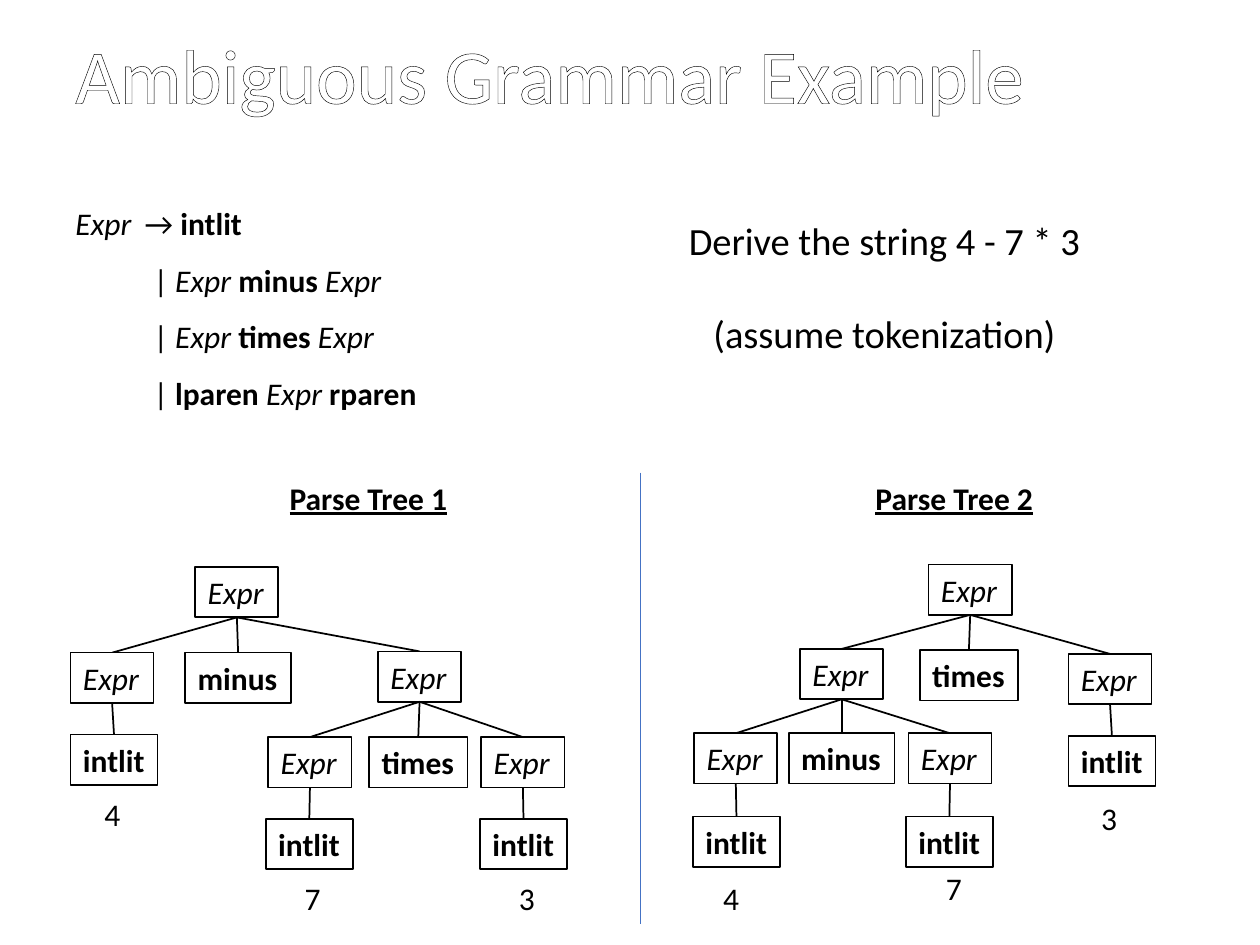
import dataclasses

import lxml.etree
import pptx
import pptx.dml.color
import pptx.enum.shapes
import pptx.enum.text
import pptx.oxml
import pptx.oxml.ns
import pptx.util

Inches = pptx.util.Inches
Pt = pptx.util.Pt
qn = pptx.oxml.ns.qn
ALIGN = pptx.enum.text.PP_ALIGN
ANCHOR = pptx.enum.text.MSO_ANCHOR
AUTO_SIZE = pptx.enum.text.MSO_AUTO_SIZE


@dataclasses.dataclass(frozen=True)
class Theme:
    """Colours, font and type sizes of the slide."""

    font: str = "Calibri"
    ink: str = "000000"
    paper: str = "FFFFFF"
    divider: str = "4472C4"
    title: int = 44
    prompt: int = 22
    body: int = 18


THEME = Theme()
NODE_WIDTHS = {"Expr": 0.66, "minus": 0.84, "times": 0.78, "intlit": 0.69}
ROW_HEIGHT = 0.4

# A tree node is (label, left, top, children).
LEFT_TREE = ("Expr", 1.55, 4.5, [
    ("Expr", 0.56, 5.18, [("intlit", 0.56, 5.83, [])]),
    ("minus", 1.47, 5.18, []),
    ("Expr", 3, 5.17, [
        ("Expr", 2.13, 5.85, [("intlit", 2.11, 6.5, [])]),
        ("times", 2.93, 5.85, []),
        ("Expr", 3.82, 5.85, [("intlit", 3.81, 6.5, [])]),
    ]),
])
RIGHT_TREE = ("Expr", 7.37, 4.48, [
    ("Expr", 6.35, 5.15, [
        ("Expr", 5.51, 5.82, [("intlit", 5.5, 6.48, [])]),
        ("minus", 6.26, 5.82, []),
        ("Expr", 7.21, 5.82, [("intlit", 7.19, 6.48, [])]),
    ]),
    ("times", 7.3, 5.16, []),
    ("Expr", 8.48, 5.19, [("intlit", 8.48, 5.84, [])]),
])
LEAF_VALUES = [
    ("4", 0.73, 6.26), ("7", 2.32, 6.93), ("3", 4.02, 6.93),
    ("4", 5.64, 6.93), ("7", 7.41, 6.85), ("3", 8.64, 6.29),
]
GRAMMAR = [
    ["Expr", "\t→ ", "intlit"],
    ["| ", "Expr ", "minus ", "Expr"],
    ["| ", "Expr ", "times ", "Expr"],
    ["| ", "lparen ", "Expr ", "rparen"],
]


def rgb(value):
    """Turn a hex string into a colour."""
    return pptx.dml.color.RGBColor.from_string(value)


def style_span(span, size=THEME.body, color=THEME.ink, bold=False, italic=False):
    """Format one run."""
    span.font.name = THEME.font
    span.font.size = Pt(size)
    span.font.color.rgb = rgb(color)
    span.font.bold = bold
    span.font.italic = italic


def style_symbol(span):
    """Format a grammar symbol: nonterminals italic, terminals bold."""
    word = span.text.strip()
    style_span(span, bold=word.isalpha() and word != "Expr", italic=word == "Expr")


def add_text(page, text, left, top, width, height=ROW_HEIGHT, wrap=False, **style):
    """Add a text box whose lines share one style."""
    box = page.shapes.add_textbox(
        Inches(left), Inches(top), Inches(width), Inches(height))
    frame = box.text_frame
    frame.word_wrap = wrap
    frame.auto_size = AUTO_SIZE.SHAPE_TO_FIT_TEXT
    frame.text = text
    for para in frame.paragraphs:
        for span in para.runs:
            style_span(span, **style)
    return box


def add_title(page, text):
    """Add the outlined title."""
    box = add_text(page, text, 0.5, 0, 9, 1.25, wrap=True,
                   size=THEME.title, color=THEME.paper)
    frame = box.text_frame
    frame.auto_size = AUTO_SIZE.NONE
    box.height = Inches(1.25)
    frame.vertical_anchor = ANCHOR.MIDDLE
    para = frame.paragraphs[0]
    para.line_spacing = 0.9
    outline = pptx.oxml.parse_xml(
        '<a:ln xmlns:a="http://schemas.openxmlformats.org/drawingml/2006/main" '
        f'w="{Pt(1)}"><a:solidFill><a:srgbClr val="{THEME.ink}"/>'
        '</a:solidFill></a:ln>')
    para.runs[0].font._element.insert(0, outline)


def add_grammar(page):
    """Add the production rules, with the alternatives indented."""
    box = add_text(page, "", 0.5, 1.42, 3.25, 1.92, wrap=True)
    frame = box.text_frame
    for index, symbols in enumerate(GRAMMAR):
        para = frame.add_paragraph() if index else frame.paragraphs[0]
        para.line_spacing = 1.5
        for symbol in symbols:
            span = para.add_run()
            span.text = symbol
            style_symbol(span)
        properties = para._p.get_or_add_pPr()
        if index:
            properties.set("marL", str(Inches(0.62)))
            properties.set("indent", "0")
        else:
            stops = lxml.etree.SubElement(properties, qn("a:tabLst"))
            lxml.etree.SubElement(
                stops, qn("a:tab"), pos=str(Inches(0.55)), algn="l")


def add_prompt(page):
    """Add the centred task statement."""
    box = add_text(page, "Derive the string 4 - 7 * 3\n(assume tokenization)",
                   5.35, 1.67, 3.34, 1.21, size=THEME.prompt)
    for para in box.text_frame.paragraphs:
        para.alignment = ALIGN.CENTER
    box.text_frame.paragraphs[0].space_after = Pt(27)


def add_line(page, start, end, color=THEME.ink, weight=1):
    """Add a straight line without a shadow."""
    line = page.shapes.add_connector(
        pptx.enum.shapes.MSO_CONNECTOR.STRAIGHT,
        *(Inches(value) for value in (*start, *end)))
    line.line.color.rgb = rgb(color)
    line.line.width = Pt(weight)
    lxml.etree.SubElement(line._element.spPr, qn("a:effectLst"))
    return line


def add_node(page, label, left, top):
    """Add one boxed grammar symbol."""
    box = page.shapes.add_shape(
        pptx.enum.shapes.MSO_SHAPE.RECTANGLE, Inches(left), Inches(top),
        Inches(NODE_WIDTHS[label]), Inches(ROW_HEIGHT))
    box.shadow.inherit = False
    box.fill.solid()
    box.fill.fore_color.rgb = rgb(THEME.paper)
    box.line.color.rgb = rgb(THEME.ink)
    box.line.width = Pt(1)
    frame = box.text_frame
    frame.word_wrap = False
    frame.auto_size = AUTO_SIZE.SHAPE_TO_FIT_TEXT
    frame.vertical_anchor = ANCHOR.TOP
    frame.text = label
    frame.paragraphs[0].alignment = ALIGN.LEFT
    style_symbol(frame.paragraphs[0].runs[0])
    return box


def add_tree(page, tree):
    """Add a parse tree, joining each parent's base to its children's tops."""
    label, left, top, children = tree
    parent = add_node(page, label, left, top)
    for child in children:
        branch = add_line(page, (left, top), (child[1], child[2]))
        branch.begin_connect(parent, 2)
        branch.end_connect(add_tree(page, child), 0)
    return parent


def main():
    """Build the slide and save it."""
    deck = pptx.Presentation()
    deck.slide_width, deck.slide_height = Inches(10), Inches(7.5)
    page = deck.slides.add_slide(deck.slide_layouts[6])
    add_title(page, "Ambiguous Grammar Example")
    add_grammar(page)
    add_prompt(page)
    add_line(page, (5.08, 3.75), (5.08, 7.33), THEME.divider, 0.5)
    for number, left, tree in ((1, 2.2, LEFT_TREE), (2, 6.85, RIGHT_TREE)):
        heading = add_text(page, f"Parse Tree {number}", left, 3.75, 1.46, bold=True)
        heading.text_frame.paragraphs[0].runs[0].font.underline = True
        add_tree(page, tree)
    for value, left, top in LEAF_VALUES:
        add_text(page, value, left, top, 0.33)
    deck.save("out.pptx")


main()
